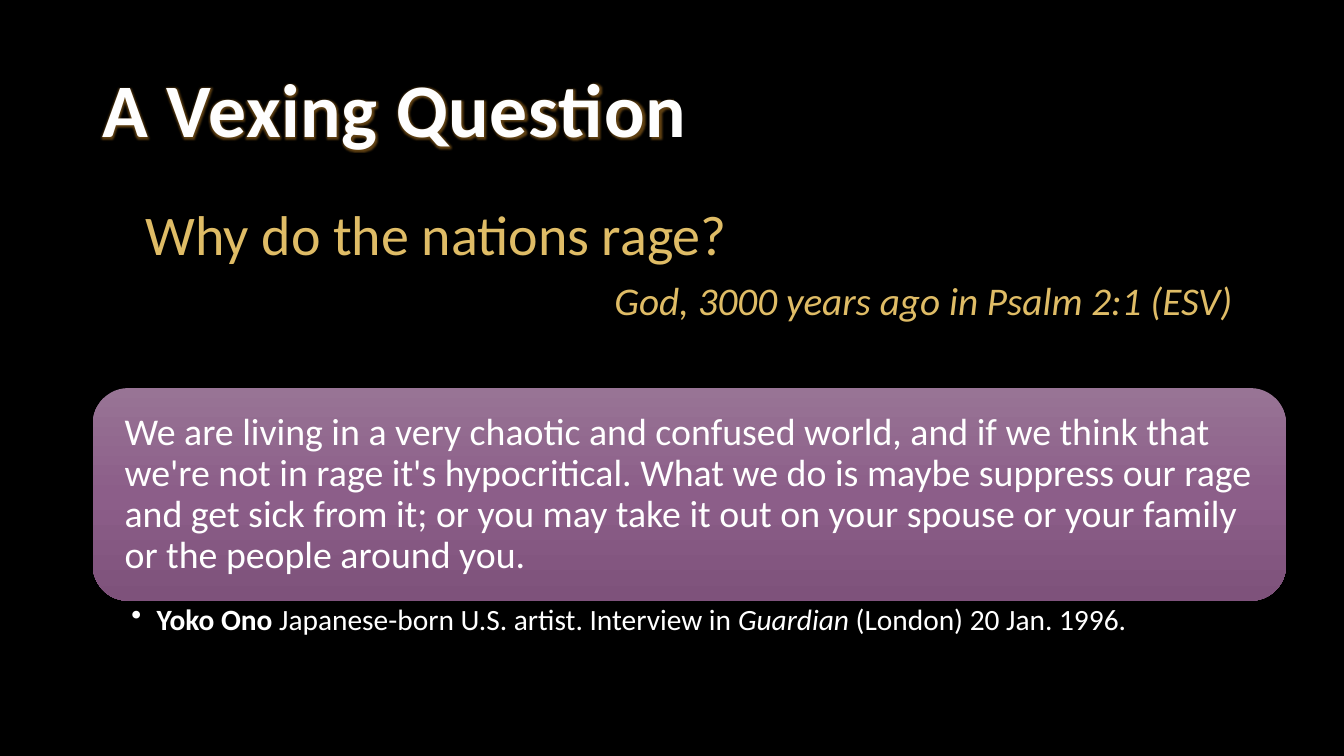
import pptx
import pptx.util
import pptx.oxml
import pptx.dml.color
import pptx.enum.shapes
import pptx.enum.text
from pptx.oxml.ns import nsdecls

Cm, Pt = pptx.util.Cm, pptx.util.Pt
ALIGN = pptx.enum.text.PP_ALIGN
ANCHOR = pptx.enum.text.MSO_ANCHOR

COLORS = {"background": "000000", "title": "FEFEFE", "glow": "F0A22E",
          "gold": "DFBC66", "white": "FFFFFF"}
CARD_STOPS = [(0, "987495"), (50, "8C5E89"), (100, "7E527B")]

# Each paragraph is a list of (text, format) runs.
TITLE = [("A Vexing Question", {"size": Pt(54), "bold": True})]
QUESTION = [("Why do the nations rage?", {"size": Pt(40)})]
SPEAKER = [("God, 3000 years ago in Psalm 2:1 (ESV)", {"size": Pt(28), "italic": True})]
QUOTE = [("We are living in a very chaotic and confused world, and if we think that "
          "we're not in rage it's hypocritical. What we do is maybe suppress our rage "
          "and get sick from it; or you may take it out on your spouse or your family "
          "or the people around you.", {"size": Pt(27)})]
CITATION = [("Yoko Ono", {"size": Pt(21), "bold": True}),
            (" Japanese-born U.S. artist. Interview in ", {"size": Pt(21)}),
            ("Guardian", {"size": Pt(21), "italic": True}),
            (" (London) 20 Jan. 1996.", {"size": Pt(21)})]

LEFT = 2.34
CARD_TOP, CARD_WIDTH, CARD_HEIGHT = 9.78, 30.07, 5.36


def rgb(name):
    return pptx.dml.color.RGBColor.from_string(COLORS[name])


def element(xml):
    """Parse one drawing element, given without its namespace declaration."""
    tag = xml.split(">")[0].split()[0].rstrip("/")
    return pptx.oxml.parse_xml(xml.replace(tag, f"{tag} {nsdecls('a')}", 1))


def place(shape, left, top, width, height):
    box = {"left": left, "top": top, "width": width, "height": height}
    for side, length in box.items():
        setattr(shape, side, Cm(length))


def set_frame(shape, anchor, margins=(0.25, 0.13, 0.25, 0.13)):
    frame = shape.text_frame
    settings = {"word_wrap": True, "auto_size": pptx.enum.text.MSO_AUTO_SIZE.NONE,
                "vertical_anchor": anchor}
    sides = ("margin_left", "margin_top", "margin_right", "margin_bottom")
    settings.update(zip(sides, map(Cm, margins)))
    for name, value in settings.items():
        setattr(frame, name, value)
    return frame


def write(paragraph, runs, color, align=ALIGN.LEFT, before=0, indent=0, bullet=None):
    """Fill a paragraph; a bullet hangs in the indent."""
    properties = paragraph._p.get_or_add_pPr()
    properties.set("marL", str(Cm(indent)))
    properties.set("indent", str(-Cm(indent) if bullet else 0))
    properties.append(element(f'<a:buChar char="{bullet}"/>' if bullet else "<a:buNone/>"))
    layout = {"alignment": align, "line_spacing": 0.9,
              "space_before": Pt(before), "space_after": Pt(0)}
    for name, value in layout.items():
        setattr(paragraph, name, value)
    for text, run_format in runs:
        run = paragraph.add_run()
        run.text = text
        for name, value in {"name": "Calibri", **run_format}.items():
            setattr(run.font, name, value)
        run.font.color.rgb = rgb(color)


def add_glow(run):
    """Give a run a thin outline, a soft glow and slightly wider spacing."""
    properties = run._r.get_or_add_rPr()
    properties.set("spc", "50")
    tint = f'<a:srgbClr val="{COLORS["glow"]}"'
    properties.insert(0, element(
        f'<a:ln w="9525"><a:solidFill>{tint}/></a:solidFill></a:ln>'))
    properties.insert(2, element(
        f'<a:effectLst><a:glow rad="38100">{tint}><a:alpha val="40000"/>'
        "</a:srgbClr></a:glow></a:effectLst>"))


def fill_gradient(shape, stops):
    shape.fill.gradient()
    shape.fill.gradient_angle = 270
    stop_list = shape.fill._fill._gradFill.find(pptx.oxml.ns.qn("a:gsLst"))
    for old_stop in list(stop_list):
        stop_list.remove(old_stop)
    for percent, color in stops:
        stop_list.append(element(
            f'<a:gs pos="{percent * 1000}"><a:srgbClr val="{color}"/></a:gs>'))


def main():
    deck = pptx.Presentation()
    deck.slide_width, deck.slide_height = Cm(33.87), Cm(19.05)
    slide = deck.slides.add_slide(deck.slide_layouts[1])
    slide.background.fill.solid()
    slide.background.fill.fore_color.rgb = rgb("background")

    title, verse = slide.placeholders
    place(title, LEFT, 1.02, 29.21, 3.68)
    heading = set_frame(title, ANCHOR.MIDDLE).paragraphs[0]
    write(heading, TITLE, "title")
    add_glow(heading.runs[0])

    place(verse, 3.1, 5.08, 28.2, 12.09)
    verse_frame = set_frame(verse, ANCHOR.TOP)
    write(verse_frame.paragraphs[0], QUESTION, "gold", indent=0.32)
    write(verse_frame.add_paragraph(), SPEAKER, "gold", ALIGN.RIGHT, before=10)

    card = slide.shapes.add_shape(pptx.enum.shapes.MSO_SHAPE.ROUNDED_RECTANGLE, 0, 0, 0, 0)
    place(card, LEFT, CARD_TOP, CARD_WIDTH, CARD_HEIGHT)
    card.shadow.inherit = False
    card.line.fill.background()
    fill_gradient(card, CARD_STOPS)
    quote_frame = set_frame(card, ANCHOR.MIDDLE, (0.54, 0.54, 0.54, 0.54))
    write(quote_frame.paragraphs[0], QUOTE, "white")

    source = slide.shapes.add_textbox(0, 0, 0, 0)
    place(source, LEFT, CARD_TOP + CARD_HEIGHT, CARD_WIDTH, 1.24)
    source_frame = set_frame(source, ANCHOR.TOP, (0.97, 0.1, 0.53, 0.1))
    write(source_frame.paragraphs[0], CITATION, "white", indent=0.64, bullet="•")

    deck.save("out.pptx")


if __name__ == "__main__":
    main()
